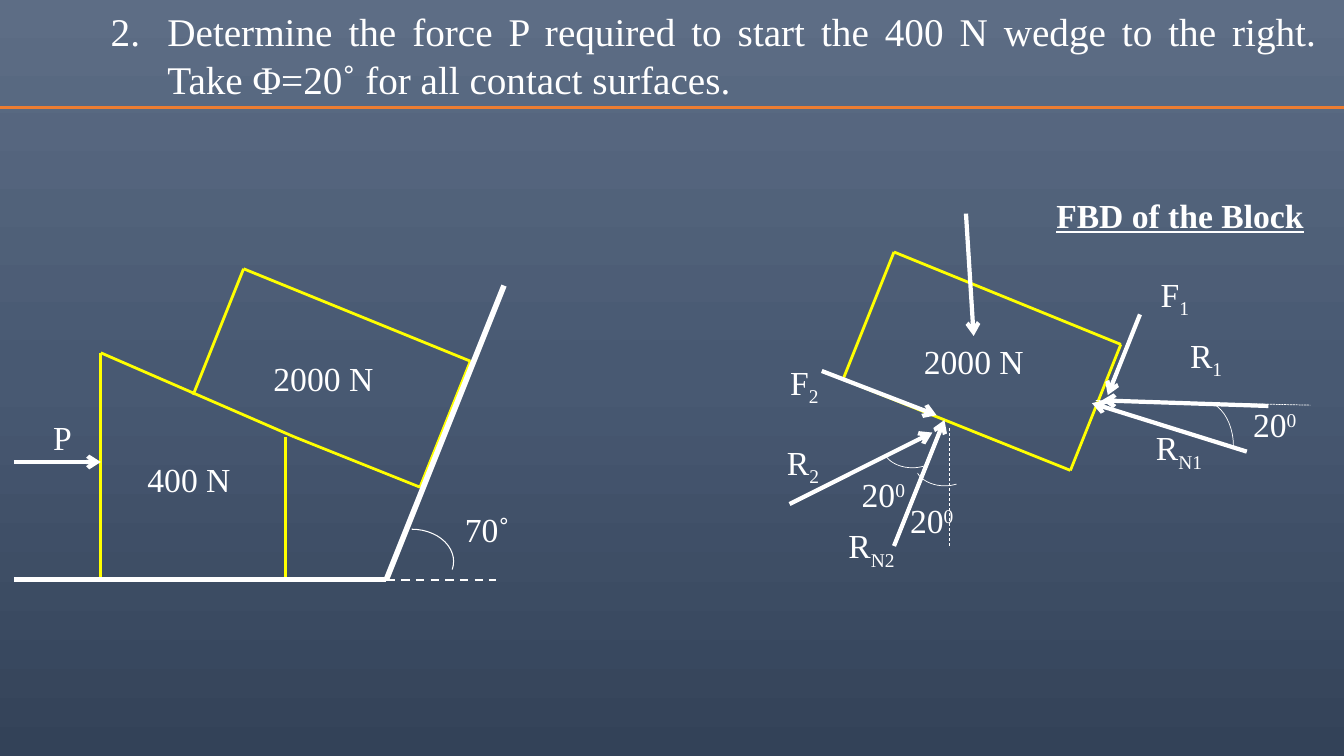
from copy import deepcopy
from dataclasses import dataclass, field
from typing import Optional

from lxml import etree
from pptx import Presentation
from pptx import slide as s
from pptx import util as u
from pptx.dml import color
from pptx.enum import dml, shapes, text
from pptx.oxml import ns

Point = tuple[float, float]


@dataclass(frozen=True)
class Theme:
    font: str = "Times New Roman"
    title_size: float = 28
    label_size: float = 24
    white: str = "FFFFFF"
    yellow: str = "FFFF00"
    orange: str = "ED7D31"
    background: tuple[tuple[float, str], ...] = (
        (0, "5D6D85"), (0.5, "485972"), (1, "334258"))


THEME = Theme()
DASH = dml.MSO_LINE.DASH
SHORT_DASH = dml.MSO_LINE.SQUARE_DOT
CENTER = text.PP_ALIGN.CENTER
SUBSCRIPT, SUPERSCRIPT = -25000, 30000


@dataclass(frozen=True)
class Line:
    start: Point
    end: Point
    color: str = THEME.white
    width: float = 3
    dash: Optional[dml.MSO_LINE] = None
    arrow: bool = False


@dataclass(frozen=True)
class Arc:
    left: float
    top: float
    width: float
    height: float
    start_angle: float
    end_angle: float
    line_width: float = 0.5


@dataclass(frozen=True)
class Label:
    words: str
    left: float
    top: float
    width: float
    script: str = ""
    options: dict = field(default_factory=dict)


def paint_background(slide: s.Slide) -> None:
    fill = slide.background.fill
    fill.gradient()
    fill.gradient_angle = 270
    stop_list = slide.element.xpath(".//a:gsLst")[0]
    stop_list.append(deepcopy(stop_list[-1]))
    for stop, (position, rgb) in zip(fill.gradient_stops, THEME.background):
        stop.position = position
        stop.color.rgb = color.RGBColor.from_string(rgb)


def draw_line(slide: s.Slide, line: Line) -> None:
    connector = slide.shapes.add_connector(
        shapes.MSO_CONNECTOR.STRAIGHT, *(u.Pt(v) for v in line.start + line.end))
    connector.line.color.rgb = color.RGBColor.from_string(line.color)
    connector.line.width = u.Pt(line.width)
    if line.dash is not None:
        connector.line.dash_style = line.dash
    properties = connector.element.spPr
    if line.arrow:
        outline = properties.find(ns.qn("a:ln"))
        etree.SubElement(outline, ns.qn("a:tailEnd"), type="arrow")
    etree.SubElement(properties, ns.qn("a:effectLst"))


def draw_arc(slide: s.Slide, arc: Arc) -> None:
    shape = slide.shapes.add_shape(
        shapes.MSO_SHAPE.ARC, u.Pt(arc.left), u.Pt(arc.top), u.Pt(arc.width), u.Pt(arc.height))
    shape.shadow.inherit = False
    shape.fill.background()
    shape.line.color.rgb = color.RGBColor.from_string(THEME.white)
    shape.line.width = u.Pt(arc.line_width)
    for index, angle in enumerate((arc.start_angle, arc.end_angle)):
        shape.adjustments[index] = angle * 0.6


def write_text(slide: s.Slide, words: str, left: float, top: float, width: float, *,
               height: float = 36, size: float = THEME.label_size,
               align: text.PP_ALIGN = text.PP_ALIGN.LEFT, script: str = "",
               baseline: int = SUBSCRIPT, bold: bool = False, underline: bool = False,
               number: int = 0, indent: float = 0) -> None:
    box = slide.shapes.add_textbox(u.Pt(left), u.Pt(top), u.Pt(width), u.Pt(height))
    box.text_frame.word_wrap = True
    paragraph = box.text_frame.paragraphs[0]
    paragraph.alignment = align
    if number:
        properties = paragraph._p.get_or_add_pPr()
        properties.set("marL", str(u.Pt(indent)))
        properties.set("indent", str(-u.Pt(indent)))
        etree.SubElement(properties, ns.qn("a:buAutoNum"),
                         type="arabicPeriod", startAt=str(number))
    for content, shift in ((words, 0), (script, baseline)):
        if not content:
            continue
        run = paragraph.add_run()
        run.text = content
        font = run.font
        font.name, font.size = THEME.font, u.Pt(size)
        font.bold, font.underline = bold, underline
        font.color.rgb = color.RGBColor.from_string(THEME.white)
        if shift:
            run._r.get_or_add_rPr().set("baseline", str(shift))


def yellow_path(*points: Point) -> list[Line]:
    return [Line(a, b, THEME.yellow, 2) for a, b in zip(points, points[1:])]


def block_sides(left: float, top: float) -> list[Line]:
    corners = ((0, 90), (36, 0), (198, 66), (162, 156))
    return yellow_path(*((left + x, top + y) for x, y in corners))


def force(start: Point, end: Point) -> Line:
    return Line(start, end, arrow=True)


LINES = [
    Line((0, 77), (960, 77), THEME.orange, 2.25),
    *yellow_path((204, 312), (204, 414), (72, 414), (72, 252), (210, 312), (300, 348)),
    *block_sides(138 + 36 - 36, 192),
    Line((10, 414), (276, 414), width=4),
    Line((360, 204), (276, 414), width=4),
    Line((276, 414), (354, 414), width=1.5, dash=DASH),
    force((10, 330), (72, 330)),
    *block_sides(602.6, 180),
    *yellow_path((600, 270), (764.6, 336)),
    force((690, 152.6), (695.5, 240)),
    force((638.6, 390), (674.6, 300)),
    force((587, 265), (669, 296.6)),
    force((564, 360), (666, 309)),
    force((890.6, 322.6), (780, 288)),
    force((814.3, 224.6), (791.3, 282.2)),
    Line((782.6, 286), (936, 289.4), width=0.5, dash=SHORT_DASH),
    force((906, 290), (787, 286)),
    Line((678, 306), (678, 390), width=0.5, dash=DASH),
]

ARCS = [
    Arc(264, 378, 60, 46, 270, 11.31, 0.75),
    Arc(835, 286, 46, 65, 283.35, 0),
    Arc(630.7, 304.6, 42, 29.5, 58, 163.62),
    Arc(653.8, 317.5, 42, 29.5, 58, 163.62),
]

CENTERED = {"align": CENTER}
RAISED = {"baseline": SUPERSCRIPT}
LABELS = [
    Label("400 N", 84, 324, 102, options=CENTERED),
    Label("2000 N", 180, 252, 102, options=CENTERED),
    Label("70˚", 324, 360, 48, options=CENTERED),
    Label("P", 26.6, 294, 36, options=CENTERED),
    Label("2000 N", 644.6, 240, 102, options=CENTERED),
    Label("R", 843, 235.5, 41, "1"),
    Label("F", 822, 192, 42, "1"),
    Label("R", 818.6, 301.7, 63, "N1"),
    Label("F", 557.3, 255, 42, "2"),
    Label("R", 599, 371.5, 63, "N2"),
    Label("R", 555, 312, 60, "2"),
    Label("20", 888, 285, 60, "0", RAISED),
    Label("20", 643, 353.5, 58, "0", RAISED),
    Label("20", 608.4, 335, 60, "0", RAISED),
    Label("FBD of the Block", 747.4, 135.4, 193, options={"bold": True, "underline": True}),
]


def main() -> None:
    presentation = Presentation()
    presentation.slide_width, presentation.slide_height = u.Pt(960), u.Pt(540)
    slide = presentation.slides.add_slide(presentation.slide_layouts[6])
    paint_background(slide)
    write_text(slide, "Determine the force P required to start the 400 N wedge to the right. "
               "Take Φ=20˚ for all contact surfaces.", 72, 2, 875.5, height=84,
               size=THEME.title_size, align=text.PP_ALIGN.JUSTIFY, number=2, indent=40.5)
    for line in LINES:
        draw_line(slide, line)
    for arc in ARCS:
        draw_arc(slide, arc)
    for label in LABELS:
        write_text(slide, label.words, label.left, label.top, label.width,
                   script=label.script, **label.options)
    presentation.save("out.pptx")


if __name__ == "__main__":
    main()
